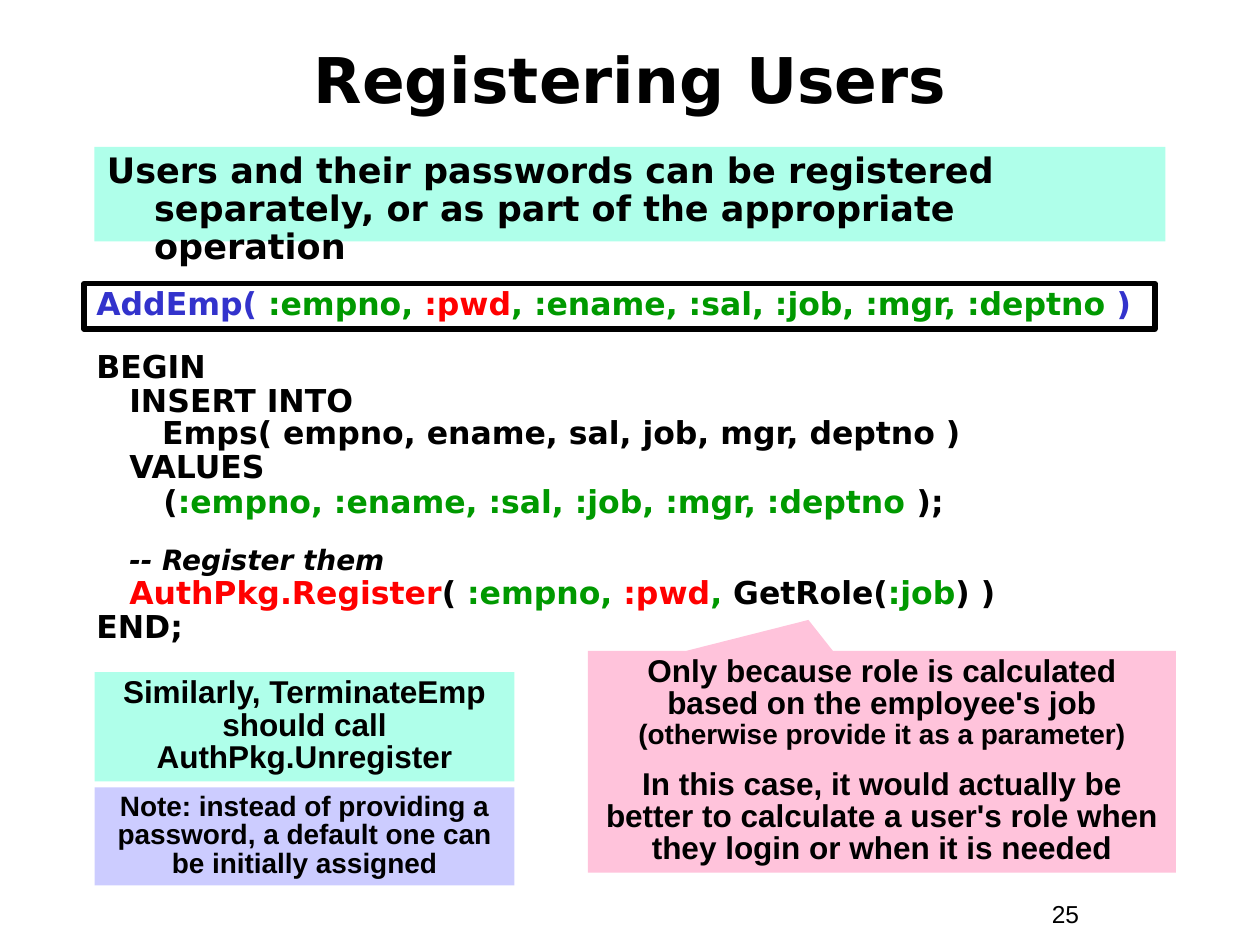
from dataclasses import dataclass

import pptx
import pptx.dml.color
import pptx.enum.shapes
import pptx.enum.text
import pptx.util

Pt = pptx.util.Pt
SHAPE = pptx.enum.shapes.MSO_SHAPE
ALIGN = pptx.enum.text.PP_ALIGN
ANCHOR = pptx.enum.text.MSO_ANCHOR

SANS, ARIAL = "DejaVu Sans", "Arial"
BLACK, RED, GREEN, BLUE = "000000", "FF0000", "009900", "3333CC"
MINT, PINK, LILAC = "AFFFEA", "FFC3DB", "CCCCFF"


@dataclass
class Run:
    text: str
    color: str = BLACK
    size: float = 18
    italic: bool = False
    bold: bool = True


@dataclass
class Para:
    runs: list[Run]
    before: float = 0
    spacing: float = 0.85
    hanging: float = 0


@dataclass
class Box:
    left: float
    top: float
    width: float
    height: float
    paras: list[Para]
    font: str = ARIAL
    align: ALIGN = ALIGN.LEFT
    anchor: ANCHOR = ANCHOR.TOP
    shape: SHAPE | None = None
    fill: str | None = None
    border: float = 0
    adjust: tuple[float, ...] = ()


def rgb(color: str) -> pptx.dml.color.RGBColor:
    return pptx.dml.color.RGBColor.from_string(color)


def add_run(p, run: Run, font: str) -> None:
    for i, line in enumerate(run.text.split("\n")):
        if i:
            p.add_line_break()
        if line:
            r = p.add_run()
            r.text = line
            r.font.name = font
            r.font.size = Pt(run.size)
            r.font.bold = run.bold
            r.font.italic = run.italic
            r.font.color.rgb = rgb(run.color)


def add_box(s, box: Box) -> None:
    place = [Pt(v) for v in (box.left, box.top, box.width, box.height)]
    if box.shape is None:
        sp = s.shapes.add_textbox(*place)
    else:
        sp = s.shapes.add_shape(box.shape, *place)
        sp.shadow.inherit = False
        for i, value in enumerate(box.adjust):
            sp.adjustments[i] = value
        if box.fill:
            sp.fill.solid()
            sp.fill.fore_color.rgb = rgb(box.fill)
        else:
            sp.fill.background()
        if box.border:
            sp.line.color.rgb = rgb(BLACK)
            sp.line.width = Pt(box.border)
        else:
            sp.line.fill.background()

    tf = sp.text_frame
    tf.word_wrap = True
    tf.vertical_anchor = box.anchor
    for i, para in enumerate(box.paras):
        p = tf.add_paragraph() if i else tf.paragraphs[0]
        p.alignment = box.align
        p.line_spacing = para.spacing
        p.space_before = Pt(para.before)
        if para.hanging:
            pPr = p._p.get_or_add_pPr()
            pPr.set("marL", str(Pt(para.hanging)))
            pPr.set("indent", str(-Pt(para.hanging)))
        for run in para.runs:
            add_run(p, run, box.font)


# Procedure body
CODE = [
    Para([Run("BEGIN")]),
    Para([Run("   INSERT INTO \n      Emps( empno, ename, sal, job, mgr, deptno )")], 1.1),
    Para([Run("   VALUES \n    "), Run(" ", size=20), Run(" ("),
          Run(":empno, :ename, :sal, :job, :mgr, :deptno", GREEN), Run(" );")], 1.1),
    Para([Run("   "), Run("-- Register them", size=16, italic=True)], 13.6),
    Para([Run("   "), Run("AuthPkg.Register", RED), Run("( "), Run(":empno, ", GREEN),
          Run(":pwd", RED), Run(", ", GREEN), Run("GetRole("), Run(":job", GREEN),
          Run(") )")], 1.1),
    Para([Run("END;")], 1.1),
]

SIGNATURE = [Para([
    Run("AddEmp( ", BLUE), Run(":empno, ", GREEN), Run(":pwd", RED),
    Run(", :ename, :sal, :job, :mgr, :deptno ", GREEN), Run(")", BLUE),
])]

ROLE_NOTE = [
    Para([Run("Only because role is calculated based on the employee's job\n"),
          Run("(otherwise provide it as a parameter)", size=16)]),
    Para([Run("In this case, it would actually be better to calculate a user's role "
              "when they login or when it is needed")], 11.2),
]

BOXES = [
    # Slide number and title
    Box(594, 510, 66, 24.5, [Para([Run("25", size=14, bold=False)], spacing=1)]),
    Box(24, 12, 672, 66, [Para([Run("Registering Users", size=36)], spacing=1)],
        SANS, ALIGN.CENTER, ANCHOR.MIDDLE),
    # Main statement
    Box(54, 84, 612, 54,
        [Para([Run("Users and their passwords can be registered separately, "
                   "or as part of the appropriate operation", size=20)],
              spacing=0.9, hanging=27)],
        SANS, shape=SHAPE.RECTANGLE, fill=MINT),
    # Code and its framed signature
    Box(48, 198, 594, 194.5, CODE, SANS),
    Box(48, 162, 612, 26, SIGNATURE, SANS, shape=SHAPE.RECTANGLE, border=3),
    # Notes
    Box(336, 372, 336, 126.7, ROLE_NOTE, align=ALIGN.CENTER,
        shape=SHAPE.RECTANGULAR_CALLOUT, fill=PINK, adjust=(-0.125, -0.64)),
    Box(54, 384, 240, 62.5,
        [Para([Run("Similarly, TerminateEmp\nshould call AuthPkg.Unregister")])],
        align=ALIGN.CENTER, shape=SHAPE.RECTANGLE, fill=MINT),
    Box(54, 450, 240, 56,
        [Para([Run("Note: instead of providing a password, a default one can "
                   "be initially assigned", size=16)])],
        align=ALIGN.CENTER, shape=SHAPE.RECTANGLE, fill=LILAC),
]


def main() -> None:
    prs = pptx.Presentation()
    prs.slide_width, prs.slide_height = Pt(720), Pt(540)
    s = prs.slides.add_slide(prs.slide_layouts[6])
    for box in BOXES:
        add_box(s, box)
    prs.save("out.pptx")


if __name__ == "__main__":
    main()
